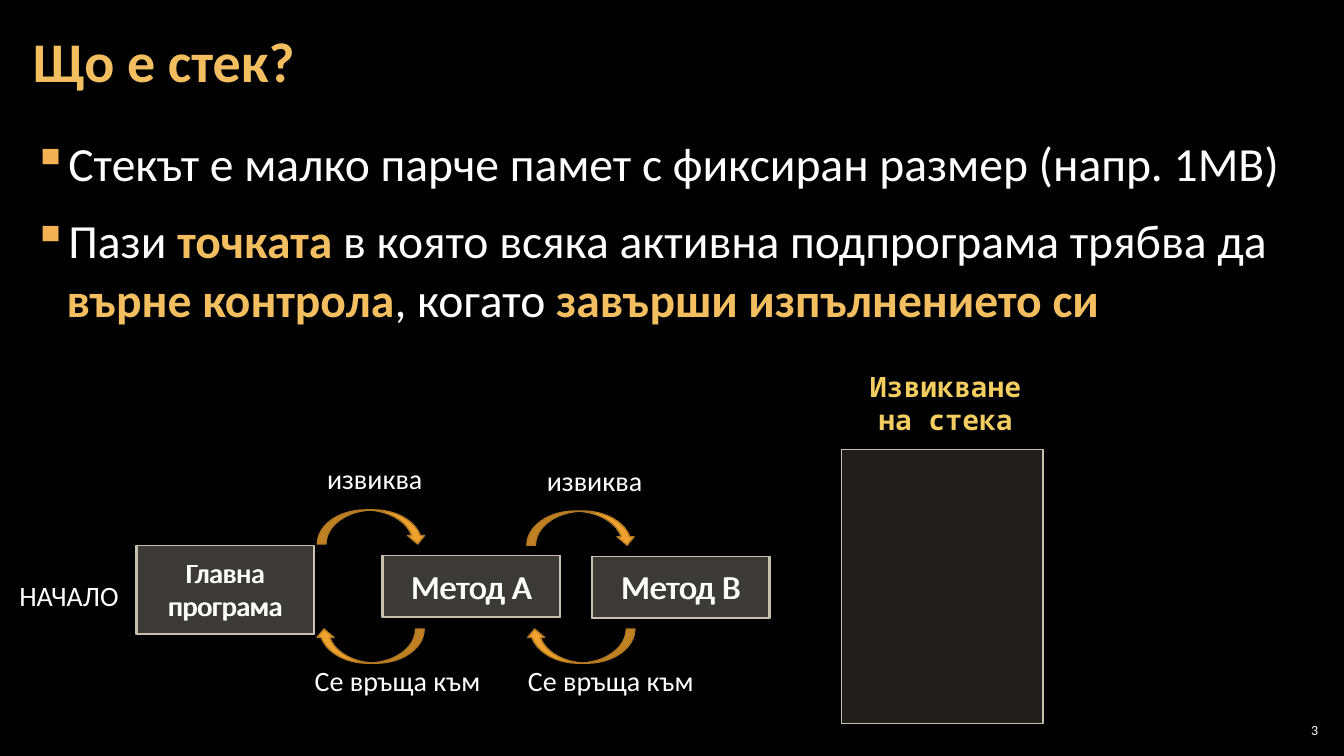
from dataclasses import dataclass

from lxml.etree import SubElement
from pptx import Presentation
from pptx.dml.color import RGBColor
from pptx.enum.shapes import MSO_SHAPE
from pptx.enum.text import MSO_ANCHOR, PP_ALIGN
from pptx.oxml.ns import qn
from pptx.util import Cm, Pt


@dataclass(frozen=True)
class Theme:
    font: str = "Calibri"
    mono: str = "Noto Sans Mono"
    background: str = "000000"
    text: str = "FFFFFF"
    accent: str = "F3BE60"
    bullet: str = "F2B254"
    stack_label: str = "F3CD60"
    box_fill: str = "D9D5C7"
    box_line: str = "C7BFAC"
    box_opacity: int = 15
    arrow_fill: str = "F0A22E"
    arrow_line: str = "B27822"
    title_size: int = 40
    body_size: int = 34
    method_size: int = 24
    label_size: int = 20
    number_size: int = 10


class SlideBuilder:
    def __init__(self, presentation, theme):
        self.theme = theme
        self.slide = presentation.slides.add_slide(presentation.slide_layouts[6])
        fill = self.slide.background.fill
        fill.solid()
        fill.fore_color.rgb = RGBColor.from_string(theme.background)

    def style_font(self, font, size, color=None, bold=False, name=None):
        font.name = name or self.theme.font
        font.size = Pt(size)
        font.bold = bold
        font.color.rgb = RGBColor.from_string(color or self.theme.text)

    def set_frame(self, frame, margins, anchor):
        frame.word_wrap = True
        frame.vertical_anchor = anchor
        frame.margin_left = frame.margin_right = Cm(margins[0])
        frame.margin_top = frame.margin_bottom = Cm(margins[1])

    def text(self, content, place, size, align=PP_ALIGN.CENTER,
             anchor=MSO_ANCHOR.MIDDLE, margins=(0.25, 0.13), spacing=1.0, **style):
        frame = self.slide.shapes.add_textbox(*map(Cm, place)).text_frame
        self.set_frame(frame, margins, anchor)
        frame.text = content
        paragraph = frame.paragraphs[0]
        paragraph.alignment = align
        paragraph.line_spacing = spacing
        self.style_font(paragraph.runs[0].font, size, **style)

    def bullets(self, items, place):
        frame = self.slide.shapes.add_textbox(*map(Cm, place)).text_frame
        self.set_frame(frame, (0.3, 0.1), MSO_ANCHOR.TOP)
        for index, item in enumerate(items):
            paragraph = frame.add_paragraph() if index else frame.paragraphs[0]
            properties = paragraph._p.get_or_add_pPr()
            properties.set("marL", str(Cm(0.85)))
            properties.set("indent", str(Cm(-0.85)))
            color = SubElement(properties, qn("a:buClr"))
            SubElement(color, qn("a:srgbClr"), val=self.theme.bullet)
            SubElement(properties, qn("a:buChar"), char="▪")
            paragraph.line_spacing = 1.05
            paragraph.space_before = Pt(6 if index else 0)
            paragraph.space_after = Pt(6)
            for content, strong in item:
                run = paragraph.add_run()
                run.text = content
                color = self.theme.accent if strong else self.theme.text
                self.style_font(run.font, self.theme.body_size, color, strong)

    def shape(self, kind, place, fill, line):
        shape = self.slide.shapes.add_shape(kind, *map(Cm, place))
        shape.shadow.inherit = False
        shape.fill.solid()
        shape.fill.fore_color.rgb = RGBColor.from_string(fill)
        shape.line.color.rgb = RGBColor.from_string(line)
        shape.line.width = Pt(1)
        return shape

    def box(self, place, content=None, size=None):
        shape = self.shape(MSO_SHAPE.RECTANGLE, place, self.theme.box_fill, self.theme.box_line)
        color = shape.fill._xPr.find(qn("a:solidFill"))[0]
        SubElement(color, qn("a:alpha"), val=str(self.theme.box_opacity * 1000))
        if content:
            frame = shape.text_frame
            self.set_frame(frame, (0.5, 0.25), MSO_ANCHOR.TOP)
            frame.text = content
            frame.paragraphs[0].alignment = PP_ALIGN.CENTER
            self.style_font(frame.paragraphs[0].runs[0].font, size)

    def arrow(self, left, top, flip):
        shape = self.shape(MSO_SHAPE.CURVED_RIGHT_ARROW, (left, top, 0.86, 2.74),
                           self.theme.arrow_fill, self.theme.arrow_line)
        shape.rotation = 90
        shape._element.spPr.xfrm.set(flip, "1")


def main():
    presentation = Presentation()
    presentation.slide_width = Cm(33.87)
    presentation.slide_height = Cm(19.05)
    theme = Theme()
    builder = SlideBuilder(presentation, theme)

    builder.bullets([
        [("Стекът е малко парче памет с фиксиран размер (напр. 1MB)", False)],
        [("Пази ", False), ("точката", True),
         (" в която всяка активна подпрограма трябва да ", False),
         ("върне контрола", True), (", когато ", False),
         ("завърши изпълнението си", True)],
    ], (0.53, 3.2, 32.79, 15.47))
    builder.text("Що е стек?", (0.53, 0.1, 32.79, 3.07), theme.title_size,
                 align=PP_ALIGN.LEFT, margins=(0.3, 0.1), spacing=0.9,
                 color=theme.accent, bold=True)

    builder.box((21.21, 11.33, 5.08, 6.91))
    builder.text("Извикване на стека", (21.29, 9.17, 5.08, 2.82), theme.label_size,
                 anchor=MSO_ANCHOR.TOP, color=theme.stack_label, bold=True, name=theme.mono)

    routines = [
        ("Главна програма", 3.43, 13.74, 2.24, theme.label_size),
        ("Метод А", 9.63, 14, 1.55, theme.method_size),
        ("Метод B", 14.91, 14.02, 1.55, theme.method_size),
    ]
    for offset in (0, 0.03):
        for name, left, top, height, size in routines:
            builder.box((left + offset, top, 4.47, height), name, size)

    for left, top in ((8.94, 11.91), (14.22, 11.94)):
        builder.arrow(left, top, "flipV")
    for left in (8.89, 14.2):
        builder.arrow(left, 14.91, "flipH")

    labels = [
        ("НАЧАЛО", 0, 14.45, 3.48),
        ("извиква", 7.87, 11.51, 3.15),
        ("извиква", 13.23, 11.56, 3.51),
        ("Се връща към", 7.57, 16.59, 4.9),
        ("Се връща към", 12.93, 16.59, 4.93),
    ]
    for content, left, top, width in labels:
        builder.text(content, (left, top, width, 1.09), theme.label_size)

    builder.text("3", (32.13, 18.14, 1.19, 0.53), theme.number_size,
                 align=PP_ALIGN.RIGHT, margins=(0.1, 0.1))
    presentation.save("out.pptx")


if __name__ == "__main__":
    main()
